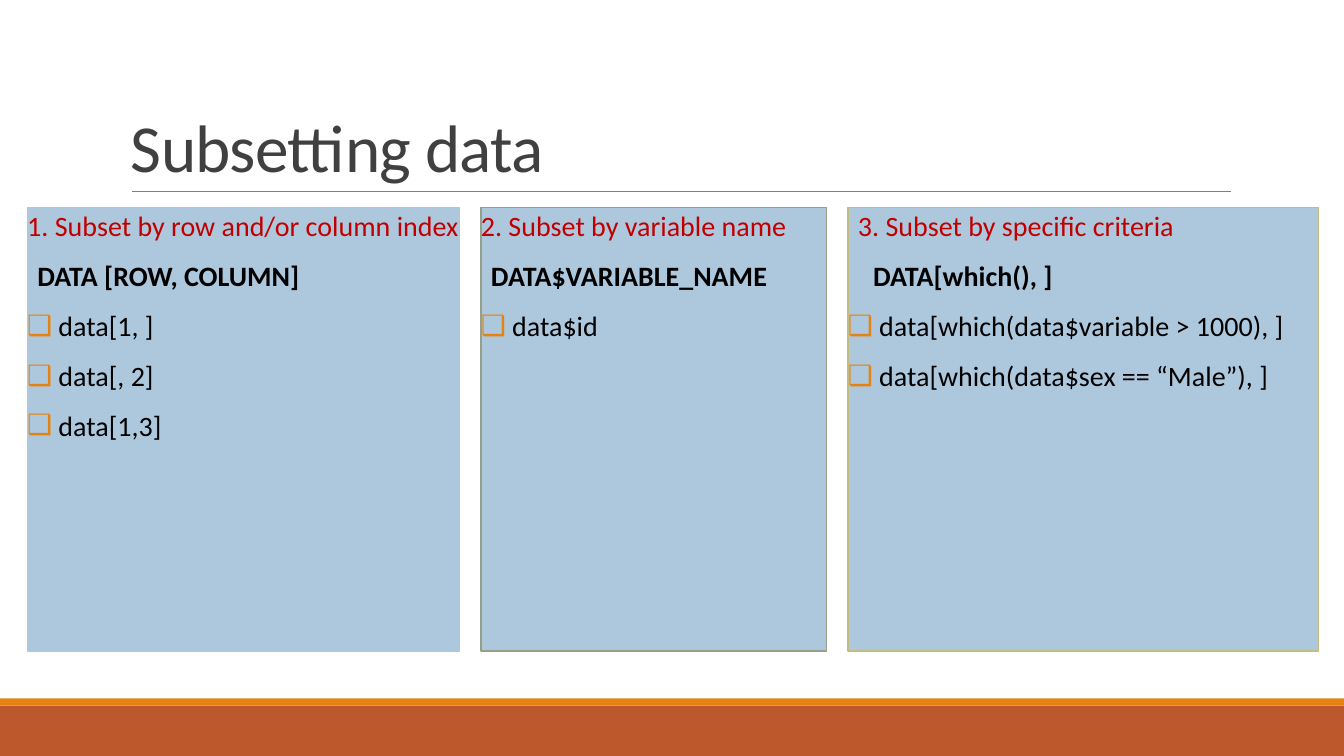
from lxml import etree
from pptx import Presentation
from pptx import util as u
from pptx.dml.color import RGBColor
from pptx.enum import shapes, text
from pptx.oxml.ns import qn

WIDE, HIGH = 13.33, 7.5
HUES = {"rust": "BD582C", "amber": "E48312", "rule": "808080", "title": "404040",
        "panel": "ADC8DD", "sage": "94A088", "sand": "C2BC80",
        "red": "C00000", "black": "000000"}
GAP, LEFT, TOP, TALL = 0.21, 0.27, 2.06, 4.4
PANELS = [
    (4.29, "panel", [
        ("head", "1. Subset by row and/or column index", 0),
        ("form", "DATA [ROW, COLUMN]", 0.1),
        ("item", "data[1, ]", 0.31),
        ("item", "data[, 2]", 0.31),
        ("item", "data[1,3]", 0.31)]),
    (3.43, "sage", [
        ("head", "2. Subset by variable name", 0),
        ("form", "DATA$VARIABLE_NAME", 0.1),
        ("item", "data$id", 0.31)]),
    (4.67, "sand", [
        ("head", "3. Subset by specific criteria", 0.1),
        ("form", "DATA[which(), ]", 0.25),
        ("item", "data[which(data$variable > 1000), ]", 0.31),
        ("item", "data[which(data$sex == “Male”), ]", 0.31)]),
]
STYLES = {"head": ("red", False), "form": ("black", True), "item": ("black", False)}


def tint(name):
    """Return the named colour."""
    return RGBColor.from_string(HUES[name])


def assign(item, **vals):
    """Set each given attribute on the item."""
    for key, val in vals.items():
        setattr(item, key, val)


def block(slide, box, fill, edge=None):
    """Draw a filled rectangle with an optional outline."""
    rect = slide.shapes.add_shape(shapes.MSO_SHAPE.RECTANGLE, *map(u.Inches, box))
    rect.shadow.inherit = False
    rect.fill.solid()
    rect.fill.fore_color.rgb = tint(fill)
    if edge:
        rect.line.color.rgb = tint(edge)
        rect.line.width = u.Pt(1)
    else:
        rect.line.fill.background()
    return rect


def indent(para, left, mark):
    """Indent a paragraph and hang a square bullet if marked."""
    props = para._p.get_or_add_pPr()
    props.set("marL", str(u.Inches(left)))
    props.set("indent", str(-u.Inches(left) if mark else 0))
    if mark:
        hue = etree.SubElement(props, qn("a:buClr"))
        etree.SubElement(hue, qn("a:srgbClr"), val=HUES["amber"])
        etree.SubElement(props, qn("a:buFont"), typeface="Calibri")
        etree.SubElement(props, qn("a:buChar"), char="❑")
    else:
        etree.SubElement(props, qn("a:buNone"))


def panel(slide, box, edge, rows):
    """Draw one panel with its heading, form and examples."""
    frame = block(slide, box, "panel", edge).text_frame
    assign(frame, word_wrap=True, vertical_anchor=text.MSO_ANCHOR.TOP,
           margin_left=0, margin_right=0,
           margin_top=u.Inches(0.05), margin_bottom=u.Inches(0.05))
    for num, (kind, words, left) in enumerate(rows):
        para = frame.add_paragraph() if num else frame.paragraphs[0]
        hue, bold = STYLES[kind]
        assign(para, alignment=text.PP_ALIGN.LEFT, line_spacing=0.9,
               space_before=u.Pt(12 if num else 0), space_after=u.Pt(2))
        indent(para, left, kind == "item")
        run = para.add_run()
        run.text = words
        assign(run.font, name="Calibri", size=u.Pt(20), bold=bold)
        run.font.color.rgb = tint(hue)


def header(slide, box):
    """Place the title and the rule beneath it."""
    x, y, w, h = box
    frame = slide.shapes.add_textbox(*map(u.Inches, box)).text_frame
    assign(frame, word_wrap=True, vertical_anchor=text.MSO_ANCHOR.BOTTOM)
    para = frame.paragraphs[0]
    para.line_spacing = 0.85
    run = para.add_run()
    run.text = "Subsetting data"
    assign(run.font, name="Calibri", size=u.Pt(48))
    run.font.color.rgb = tint("title")
    run._r.get_or_add_rPr().set("spc", "-50")
    ends = (x + 0.11, y + h, x + w + 0.01, y + h)
    rule = slide.shapes.add_connector(shapes.MSO_CONNECTOR.STRAIGHT, *map(u.Inches, ends))
    rule.line.color.rgb = tint("rule")
    rule.line.width = u.Pt(0.5)
    etree.SubElement(rule._element.spPr, qn("a:effectLst"))


def footer(slide, box):
    """Draw the two bands along the bottom."""
    x, y, w, h = box
    thin = 0.07
    block(slide, (x, y + thin, w, h - thin), "rust")
    block(slide, (x, y, w, thin), "amber")


def main():
    """Build and save the slide."""
    deck = Presentation()
    assign(deck, slide_width=u.Inches(WIDE), slide_height=u.Inches(HIGH))
    slide = deck.slides.add_slide(deck.slide_layouts[6])
    footer(slide, (0, 6.93, WIDE, HIGH - 6.93))
    header(slide, (1.2, 0.31, 11, 1.59))
    x = LEFT
    for wide, edge, rows in PANELS:
        panel(slide, (x, TOP, wide, TALL), edge, rows)
        x += wide + GAP
    deck.save("out.pptx")


if __name__ == "__main__":
    main()
